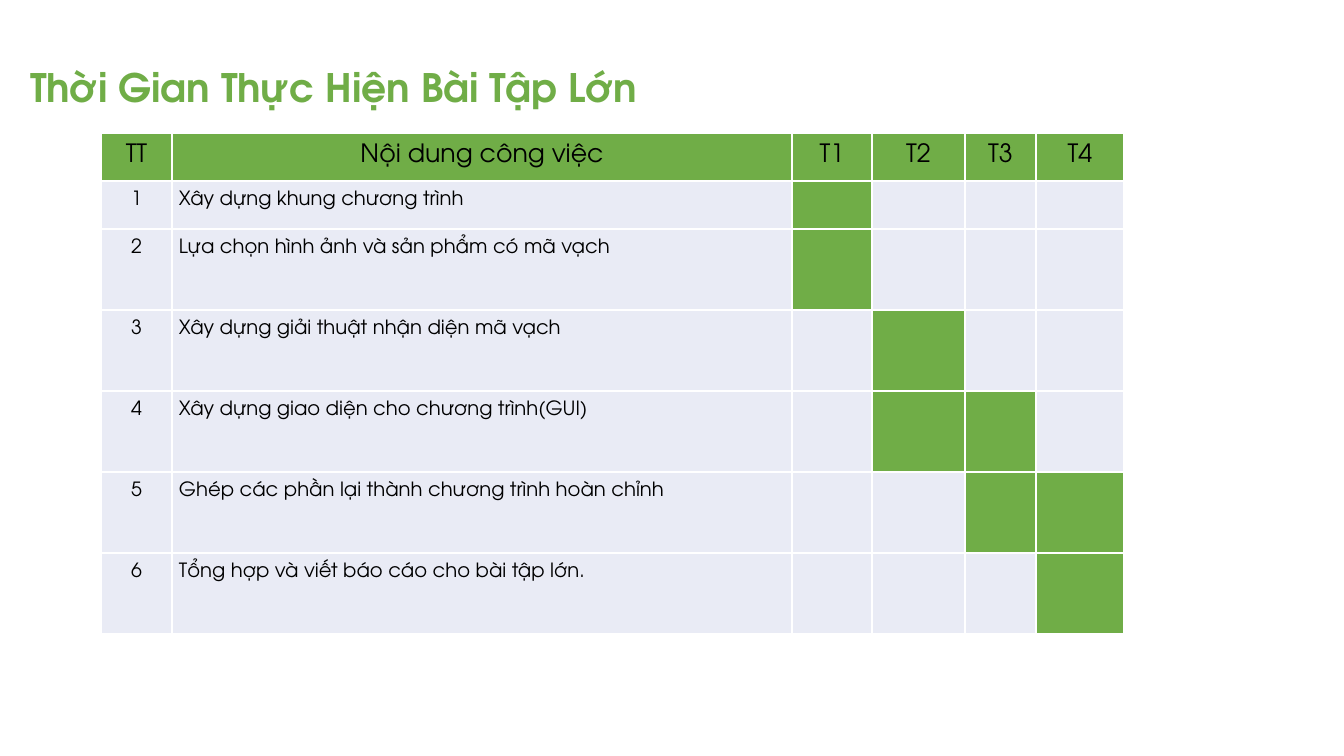
"""Build a one-slide project schedule."""
import pptx
import pptx.dml.color
import pptx.enum.text
import pptx.oxml
import pptx.oxml.ns
import pptx.util

EMU_PER_PX = 914400 / 100.8
GREEN, PALE, WHITE, BLACK = "70AD47", "E9EBF5", "FFFFFF", "000000"
ALIGN = pptx.enum.text.PP_ALIGN
ANCHOR = pptx.enum.text.MSO_ANCHOR

COLUMN_WIDTHS = [71, 620, 80, 93, 71, 88]
HEADINGS = ["TT", "Nội dung công việc", "T1", "T2", "T3", "T4"]
TASKS = [
    ("Xây dựng khung chương trình", {1}),
    ("Lựa chọn hình ảnh và sản phẩm có mã vạch", {1}),
    ("Xây dựng giải thuật nhận diện mã vạch", {2}),
    ("Xây dựng giao diện cho chương trình(GUI)", {2, 3}),
    ("Ghép các phần lại thành chương trình hoàn chỉnh", {3, 4}),
    ("Tổng hợp và viết báo cáo cho bài tập lớn.", {4}),
]
ROW_HEIGHTS = [48, 48] + [81] * (len(TASKS) - 1)


def px(length):
    """Turn a length in px into EMU."""
    return pptx.util.Emu(round(length * EMU_PER_PX))


def color(value):
    """Turn a hex string into a colour."""
    return pptx.dml.color.RGBColor.from_string(value)


def set_attributes(target, values):
    """Set every attribute named in a dict."""
    for name, value in values.items():
        setattr(target, name, value)


class ScheduleSlide:
    """Hold the style and the current slide."""

    font_name = "TeX Gyre Adventor"
    cell_margin = 7

    def __init__(self, presentation):
        """Add a title-only slide."""
        self.slide = presentation.slides.add_slide(presentation.slide_layouts[5])

    def add_text(self, text_frame, text, size, hex_color, align, bold=False, **spacing):
        """Add one formatted paragraph."""
        paragraph = text_frame.paragraphs[0]
        set_attributes(paragraph, {"alignment": align, **spacing})
        run = paragraph.add_run()
        run.text = text
        font = {"name": self.font_name, "size": pptx.util.Pt(size), "bold": bold}
        set_attributes(run.font, font)
        run.font.color.rgb = color(hex_color)

    def title(self, text, left, top, width, height, indent):
        """Place and format the title."""
        shape = self.slide.shapes.title
        box = {"left": left, "top": top, "width": width, "height": height}
        set_attributes(shape, {name: px(value) for name, value in box.items()})
        frame = {"margin_left": px(indent), "margin_right": px(10),
                 "margin_top": px(5), "margin_bottom": px(5),
                 "vertical_anchor": ANCHOR.TOP, "word_wrap": True,
                 "auto_size": pptx.enum.text.MSO_AUTO_SIZE.NONE}
        set_attributes(shape.text_frame, frame)
        self.add_text(shape.text_frame, text, 28, GREEN, ALIGN.LEFT, bold=True)

    def table(self, left, top, widths, heights):
        """Add a plain table with the given column widths and row heights."""
        shape = self.slide.shapes.add_table(
            len(heights), len(widths), px(left), px(top), px(sum(widths)), px(sum(heights)))
        table = shape.table
        set_attributes(table, {"first_row": False, "horz_banding": False})
        for column, width in zip(table.columns, widths):
            column.width = px(width)
        for row, height in zip(table.rows, heights):
            row.height = px(height)
        return table

    def cell(self, cell, fill, text="", size=14, align=ALIGN.CENTER):
        """Give one table cell its borders, fill and text."""
        properties = cell._tc.get_or_add_tcPr()
        for side in ("lnL", "lnR", "lnT", "lnB"):
            properties.append(pptx.oxml.parse_xml(
                f'<a:{side} {pptx.oxml.ns.nsdecls("a")} w="12700"><a:solidFill>'
                f'<a:srgbClr val="{WHITE}"/></a:solidFill></a:{side}>'))
        cell.fill.solid()
        cell.fill.fore_color.rgb = color(fill)
        for side in ("left", "right", "top", "bottom"):
            setattr(cell, f"margin_{side}", px(self.cell_margin))
        if text:
            self.add_text(cell.text_frame, text, size, BLACK, align,
                          line_spacing=1.15, space_after=pptx.util.Pt(6))


def main():
    """Build and save the presentation."""
    presentation = pptx.Presentation()
    set_attributes(presentation, {"slide_width": px(1344), "slide_height": px(756)})
    schedule = ScheduleSlide(presentation)
    schedule.title("Thời Gian Thực Hiện Bài Tập Lớn", 9, 58, 1147, 58, 21)
    table = schedule.table(101, 133, COLUMN_WIDTHS, ROW_HEIGHTS)
    for column, heading in enumerate(HEADINGS):
        schedule.cell(table.cell(0, column), GREEN, heading, 18)
    for number, (task, weeks) in enumerate(TASKS, 1):
        schedule.cell(table.cell(number, 0), PALE, str(number))
        schedule.cell(table.cell(number, 1), PALE, task, align=ALIGN.JUSTIFY)
        for week in range(1, 5):
            schedule.cell(table.cell(number, week + 1), GREEN if week in weeks else PALE)
    presentation.save("out.pptx")


if __name__ == "__main__":
    main()
